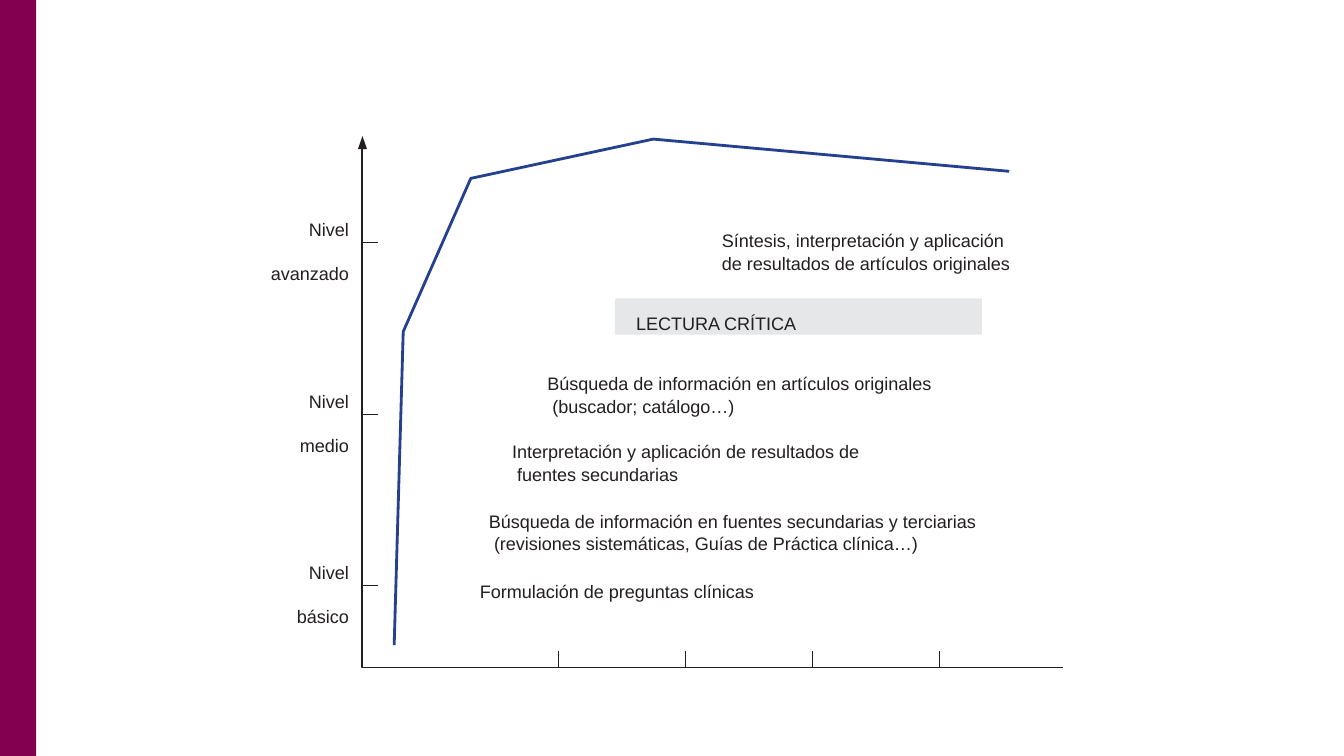
import pptx
import pptx.util
import pptx.dml.color
import pptx.enum.shapes
import pptx.enum.text
import pptx.oxml.ns
import lxml.etree

Inches = pptx.util.Inches
Pt = pptx.util.Pt
RGBColor = pptx.dml.color.RGBColor
MSO_SHAPE = pptx.enum.shapes.MSO_SHAPE
PP_ALIGN = pptx.enum.text.PP_ALIGN

PLUM = RGBColor(0x83, 0x00, 0x51)
INK = RGBColor(0x23, 0x1F, 0x20)
BLUE = RGBColor(0x25, 0x40, 0x8F)
GREY = RGBColor(0xE6, 0xE7, 0xE8)

AXIS_X, AXIS_Y = 3.59, 6.62
LEVEL_STEP = 1.7

prs = pptx.Presentation()
prs.slide_width, prs.slide_height = Inches(13.33), Inches(7.5)
slide = prs.slides.add_slide(prs.slide_layouts[6])
shapes = slide.shapes


def add_polyline(points, color, width):
    pts = [(Inches(x), Inches(y)) for x, y in points]
    builder = shapes.build_freeform(*pts[0], scale=1.0)
    builder.add_line_segments(pts[1:], close=False)
    sp = builder.convert_to_shape()
    sp.shadow.inherit = False
    sp.fill.background()
    sp.line.color.rgb = color
    sp.line.width = Pt(width)


def write_lines(sp, lines, align=PP_ALIGN.LEFT, hang=0, gap=0, top=0, left=0):
    tf = sp.text_frame
    tf.word_wrap = True
    tf.vertical_anchor = pptx.enum.text.MSO_ANCHOR.TOP
    tf.margin_left, tf.margin_top = Inches(left), Inches(top)
    tf.margin_right = tf.margin_bottom = 0
    for i, line in enumerate(lines):
        p = tf.paragraphs[0] if i == 0 else tf.add_paragraph()
        p.alignment = align
        if i:
            p.space_before = Pt(gap)
            p._p.get_or_add_pPr().set("marL", str(Inches(hang)))
        r = p.add_run()
        r.text = line
        r.font.name = "Arial"
        r.font.size = Pt(12.9)
        r.font.color.rgb = INK


# Side band, axis arrowhead and grey highlight
boxes = []
for kind, x, y, w, h, color in [
    (MSO_SHAPE.RECTANGLE, 0, 0, 0.36, 7.5, PLUM),
    (MSO_SHAPE.ISOSCELES_TRIANGLE, 3.55, 1.35, 0.09, 0.13, INK),
    (MSO_SHAPE.RECTANGLE, 6.1, 2.96, 3.64, 0.36, GREY),
]:
    sp = shapes.add_shape(kind, Inches(x), Inches(y), Inches(w), Inches(h))
    sp.shadow.inherit = False
    sp.fill.solid()
    sp.fill.fore_color.rgb = color
    sp.line.fill.background()
    boxes.append(sp)
write_lines(boxes[-1], ["LECTURA CRÍTICA"], top=0.14, left=0.21)

# Axes and curve
add_polyline([(10.54, AXIS_Y), (AXIS_X, AXIS_Y), (AXIS_X, 1.45)], INK, 1)
add_polyline([(10.01, 1.7), (6.48, 1.38), (4.67, 1.77), (4, 3.29), (3.91, 6.4)], BLUE, 2)

# Axis ticks
ticks = [(AXIS_X, 2.41 + LEVEL_STEP * i, 0.16, 0) for i in range(3)]
ticks += [(5.54 + 1.26 * i, AXIS_Y - 0.16, 0, 0.16) for i in range(4)]
for x, y, dx, dy in ticks:
    cx = shapes.add_connector(pptx.enum.shapes.MSO_CONNECTOR.STRAIGHT,
                              Inches(x), Inches(y), Inches(x + dx), Inches(y + dy))
    cx.line.color.rgb = INK
    cx.line.width = Pt(0.75)
    lxml.etree.SubElement(cx._element.spPr, pptx.oxml.ns.qn("a:effectLst"))

# Level labels
for i, level in enumerate(["avanzado", "medio", "básico"]):
    sp = shapes.add_textbox(Inches(2.46), Inches(2.17 + LEVEL_STEP * i), Inches(1), Inches(0.64))
    write_lines(sp, ["Nivel", level], align=PP_ALIGN.RIGHT, gap=16)

# Skills beside the curve
skills = [
    (7.16, 2.28, 0, ["Síntesis, interpretación y aplicación", "de resultados de artículos originales"]),
    (5.43, 3.7, 0.05, ["Búsqueda de información en artículos originales", "(buscador; catálogo…)"]),
    (5.08, 4.37, 0.05, ["Interpretación y aplicación de resultados de", "fuentes secundarias"]),
    (4.85, 5.06, 0.05, ["Búsqueda de información en fuentes secundarias y terciarias",
                        "(revisiones sistemáticas, Guías de Práctica clínica…)"]),
    (4.76, 5.76, 0, ["Formulación de preguntas clínicas"]),
]
for x, y, hang, lines in skills:
    sp = shapes.add_textbox(Inches(x), Inches(y), Inches(5.2), Inches(0.22 * len(lines)))
    write_lines(sp, lines, hang=hang, gap=0.6)

prs.save("out.pptx")
